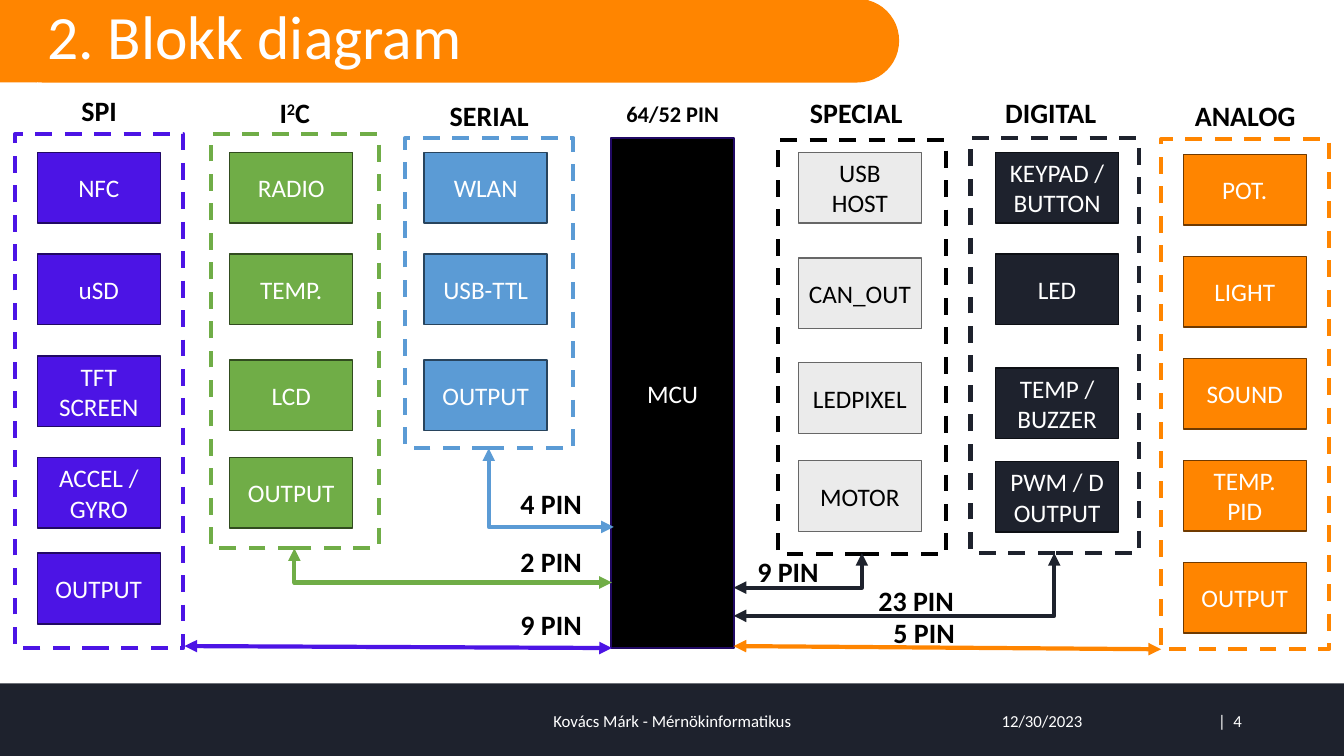
from lxml import etree
from pptx import Presentation
from pptx.dml.color import RGBColor
from pptx.enum.dml import MSO_LINE
from pptx.enum.shapes import MSO_CONNECTOR, MSO_SHAPE
from pptx.enum.text import MSO_ANCHOR, PP_ALIGN
from pptx.oxml.ns import qn
from pptx.util import Cm, Pt

STRAIGHT, ELBOW = MSO_CONNECTOR.STRAIGHT, MSO_CONNECTOR.ELBOW
RECTANGLE = MSO_SHAPE.RECTANGLE
ROUNDED = MSO_SHAPE.ROUNDED_RECTANGLE
PROCESS = MSO_SHAPE.FLOWCHART_PROCESS
DASH = MSO_LINE.DASH
TOP, MIDDLE = MSO_ANCHOR.TOP, MSO_ANCHOR.MIDDLE
LEFT, CENTER, RIGHT = PP_ALIGN.LEFT, PP_ALIGN.CENTER, PP_ALIGN.RIGHT

WHITE, BLACK, NAVY, ORANGE = "FFFFFF", "000000", "1E222D", "FF8500"
PURPLE, GREEN, BLUE, GRAY = "4C14E5", "70AD47", "5B9BD5", "EBEBEB"
PURPLE_EDGE = "210964"

BOX_WIDTH, BOX_HEIGHT, GROUP_WIDTH = 3.1, 1.78, 4.24
LABEL_HEIGHT, PIN_WIDTH = 1.12, 2.44
MCU_LEFT, MCU_RIGHT = 15.4, 18.49

BOX_TEXT = {"size": Pt(18), "bold": False}
LABEL_TEXT = {"size": Pt(20), "bold": True}
PIN_COUNT_TEXT = {"size": Pt(16), "bold": True}
TITLE_TEXT = {"size": Pt(44), "bold": False}
FOOTER_TEXT = {"size": Pt(12), "bold": False}

GROUPS = [
    ("SPI", (0.38, 2.24), (0.38, 3.38, 12.95), PURPLE,
     (PURPLE, PURPLE_EDGE, WHITE), 0.94,
     {3.84: "NFC", 6.4: "uSD", 8.97: "TFT SCREEN", 11.53: "ACCEL / GYRO", 13.94: "OUTPUT"}),
    ("I^2^C", (5.31, 2.29), (5.31, 3.38, 10.44), GREEN,
     (GREEN, "314C1F", WHITE), 5.79,
     {3.84: "RADIO", 6.4: "TEMP.", 9.07: "LCD", 11.53: "OUTPUT"}),
    ("SERIAL", (10.21, 2.36), (10.21, 3.48, 7.82), BLUE,
     (BLUE, "28445D", WHITE), 10.69,
     {3.84: "WLAN", 6.4: "USB-TTL", 9.07: "OUTPUT"}),
    ("SPECIAL", (19.46, 2.29), (19.61, 3.53, 10.44), BLACK,
     (GRAY, "676767", BLACK), 20.12,
     {3.84: "USB HOST", 6.5: "CAN_OUT", 9.14: "LEDPIXEL", 11.61: "MOTOR"}),
    ("DIGITAL", (24.36, 2.29), (24.46, 3.48, 10.46), NAVY,
     (NAVY, "0D0F14", WHITE), 25.09,
     {3.84: "KEYPAD / BUTTON", 6.4: "LED", 9.27: "TEMP /\nBUZZER", 11.63: "PWM / D\vOUTPUT"}),
    ("ANALOG", (29.26, 2.36), (29.26, 3.51, 12.85), ORANGE,
     (ORANGE, "703A00", WHITE), 29.82,
     {3.89: "POT.", 6.46: "LIGHT", 9.03: "SOUND", 11.6: "TEMP.\nPID", 14.17: "OUTPUT"}),
]

LINKS = [
    (ELBOW, (15.47, 13.28), (12.32, 11.3), BLUE, "4 PIN", 13.89, 12.14),
    (ELBOW, (15.42, 14.68), (7.42, 13.82), GREEN, "2 PIN", 13.89, 13.59),
    (STRAIGHT, (15.42, 16.33), (4.65, 16.28), PURPLE, "9 PIN", 13.89, 15.19),
    (STRAIGHT, (MCU_RIGHT, 16.28), (29.26, 16.36), ORANGE, "5 PIN", 23.29, 15.39),
    (ELBOW, (MCU_RIGHT, 15.52), (26.57, 13.94), NAVY, "23 PIN", 23.09, 14.58),
    (ELBOW, (MCU_RIGHT, 14.81), (21.72, 13.94), NAVY, "9 PIN", 19.86, 13.84),
]

FOOTERS = [
    ("12/30/2023", 24.99, 2.62, LEFT),
    ("Kovács Márk - Mérnökinformatikus", 11.23, 11.43, CENTER),
    ("|  4", 29.21, 2.34, RIGHT),
]


def paint(color_format, color):
    """Give a colour format the colour of a hex string."""
    color_format.rgb = RGBColor.from_string(color)


def write_text(frame, text, font_values, color, alignment=CENTER, anchor=MIDDLE):
    """Write formatted text, raising the part between two carets."""
    base, *rest = text.split("^")
    frame.text = base
    frame.word_wrap = True
    frame.vertical_anchor = anchor
    for index, piece in enumerate(rest):
        run = frame.paragraphs[0].add_run()
        run.text = piece
        if index == 0:
            run._r.get_or_add_rPr().set("baseline", "30000")
    for paragraph in frame.paragraphs:
        paragraph.alignment = alignment
        for run in paragraph.runs:
            run.font.name = "Calibri"
            for name, value in font_values.items():
                setattr(run.font, name, value)
            paint(run.font.color, color)


def add_text(slide, place, text, font_values, color=BLACK, alignment=CENTER, anchor=TOP):
    """Add a text box at a place in centimetres."""
    box = slide.shapes.add_textbox(*map(Cm, place))
    write_text(box.text_frame, text, font_values, color, alignment, anchor)
    return box


def add_block(slide, kind, place, fill=None, edge=None, **line_values):
    """Add a flat shape with an optional fill and outline."""
    shape = slide.shapes.add_shape(kind, *map(Cm, place))
    shape.shadow.inherit = False
    for target, color in ((shape.fill, fill), (shape.line.fill, edge)):
        if color:
            target.solid()
            paint(target.fore_color, color)
        else:
            target.background()
    for name, value in line_values.items():
        setattr(shape.line, name, value)
    return shape


def add_box(slide, place, text, colors):
    """Add a labelled block of the diagram."""
    fill, edge, text_color = colors
    box = add_block(slide, PROCESS, place, fill, edge, width=Pt(1))
    write_text(box.text_frame, text, BOX_TEXT, text_color)


def add_group(slide, label, label_place, frame, frame_color, colors, box_left, boxes):
    """Add a dashed frame with its heading and blocks."""
    left, top, height = frame
    for box_top, text in boxes.items():
        add_box(slide, (box_left, box_top, BOX_WIDTH, BOX_HEIGHT), text, colors)
    add_block(slide, RECTANGLE, (left, top, GROUP_WIDTH, height),
              edge=frame_color, width=Pt(3), dash_style=DASH)
    add_text(slide, (*label_place, GROUP_WIDTH, LABEL_HEIGHT), label, LABEL_TEXT)


def add_link(slide, kind, start, end, color):
    """Add a connector with arrowheads at both ends."""
    connector = slide.shapes.add_connector(kind, *map(Cm, start + end))
    connector.line.width = Pt(3)
    paint(connector.line.color, color)
    properties = connector._element.spPr
    if kind == ELBOW:
        properties.find(qn("a:prstGeom")).set("prst", "bentConnector2")
    for tag in ("a:headEnd", "a:tailEnd"):
        etree.SubElement(connector.line._get_or_add_ln(), qn(tag), type="triangle")
    etree.SubElement(properties, qn("a:effectLst"))


def add_banners(slide):
    """Add the title banner and the footer bar."""
    add_block(slide, RECTANGLE, (0, 17.22, 33.87, 1.83), NAVY)
    banner = add_block(slide, ROUNDED, (0, -0.03, 22.66, 2.11), ORANGE)
    banner.adjustments[0] = 0.5
    add_block(slide, RECTANGLE, (0, -0.03, 0.94, 2.11), ORANGE)
    title = add_text(slide, (0.94, 0.03, 32.93, 2.03), "2. Blokk diagram",
                     TITLE_TEXT, WHITE, LEFT)
    title.text_frame.paragraphs[0].line_spacing = 0.9
    for text, left, width, alignment in FOOTERS:
        add_text(slide, (left, 17.65, width, 1.02), text, FOOTER_TEXT, WHITE, alignment, MIDDLE)


def main():
    """Build the block diagram slide and save it."""
    presentation = Presentation()
    presentation.slide_width, presentation.slide_height = Cm(33.87), Cm(19.05)
    slide = presentation.slides.add_slide(presentation.slide_layouts[6])
    add_banners(slide)
    add_box(slide, (MCU_LEFT, 3.48, BOX_WIDTH, 12.85), "MCU", (BLACK, PURPLE_EDGE, WHITE))
    add_text(slide, (MCU_LEFT, 2.39, BOX_WIDTH, 0.94), "64/52 PIN", PIN_COUNT_TEXT)
    for group in GROUPS:
        add_group(slide, *group)
    for kind, start, end, color, label, center, top in LINKS:
        add_link(slide, kind, start, end, color)
        add_text(slide, (center - PIN_WIDTH / 2, top, PIN_WIDTH, LABEL_HEIGHT), label, LABEL_TEXT)
    presentation.save("out.pptx")


if __name__ == "__main__":
    main()
